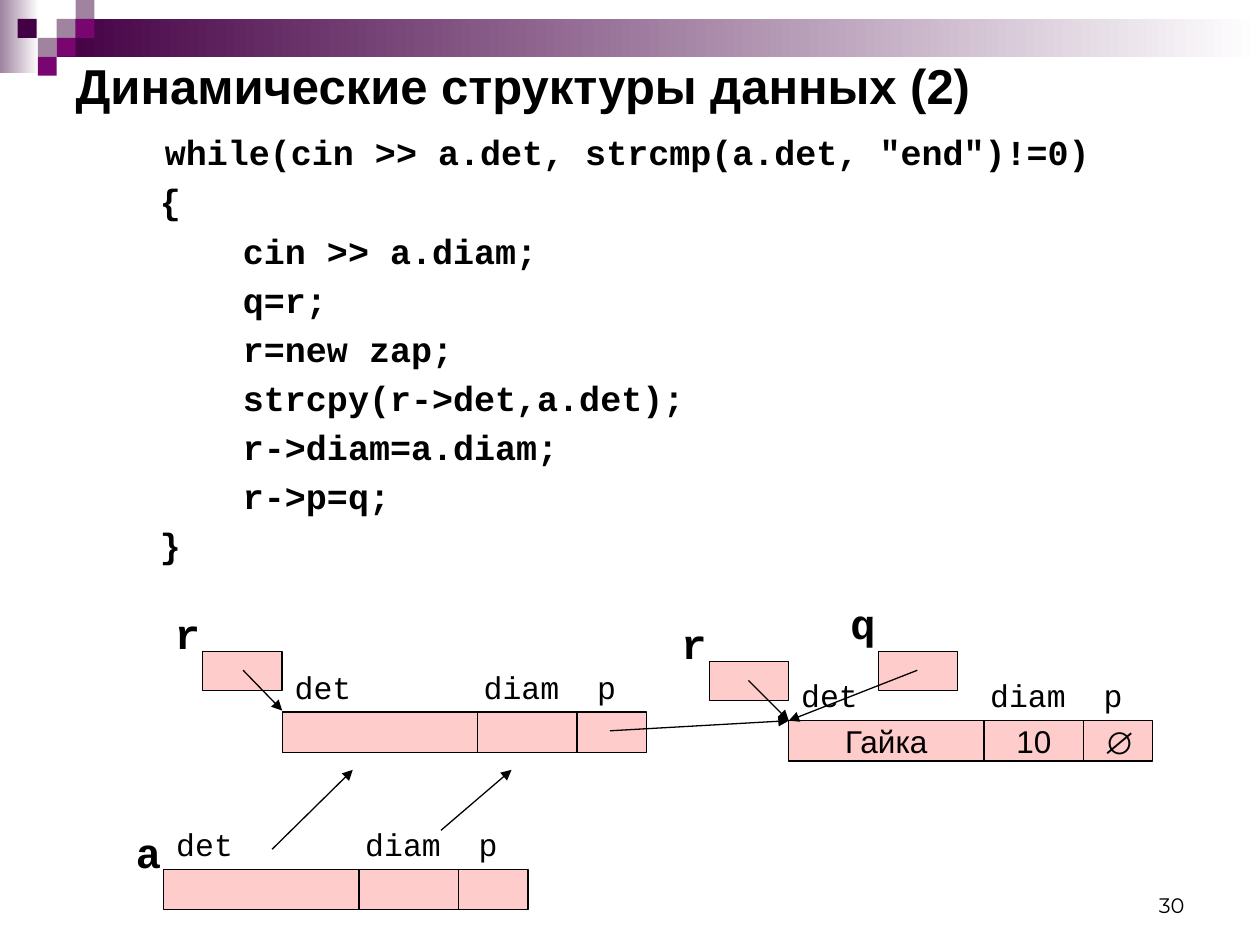
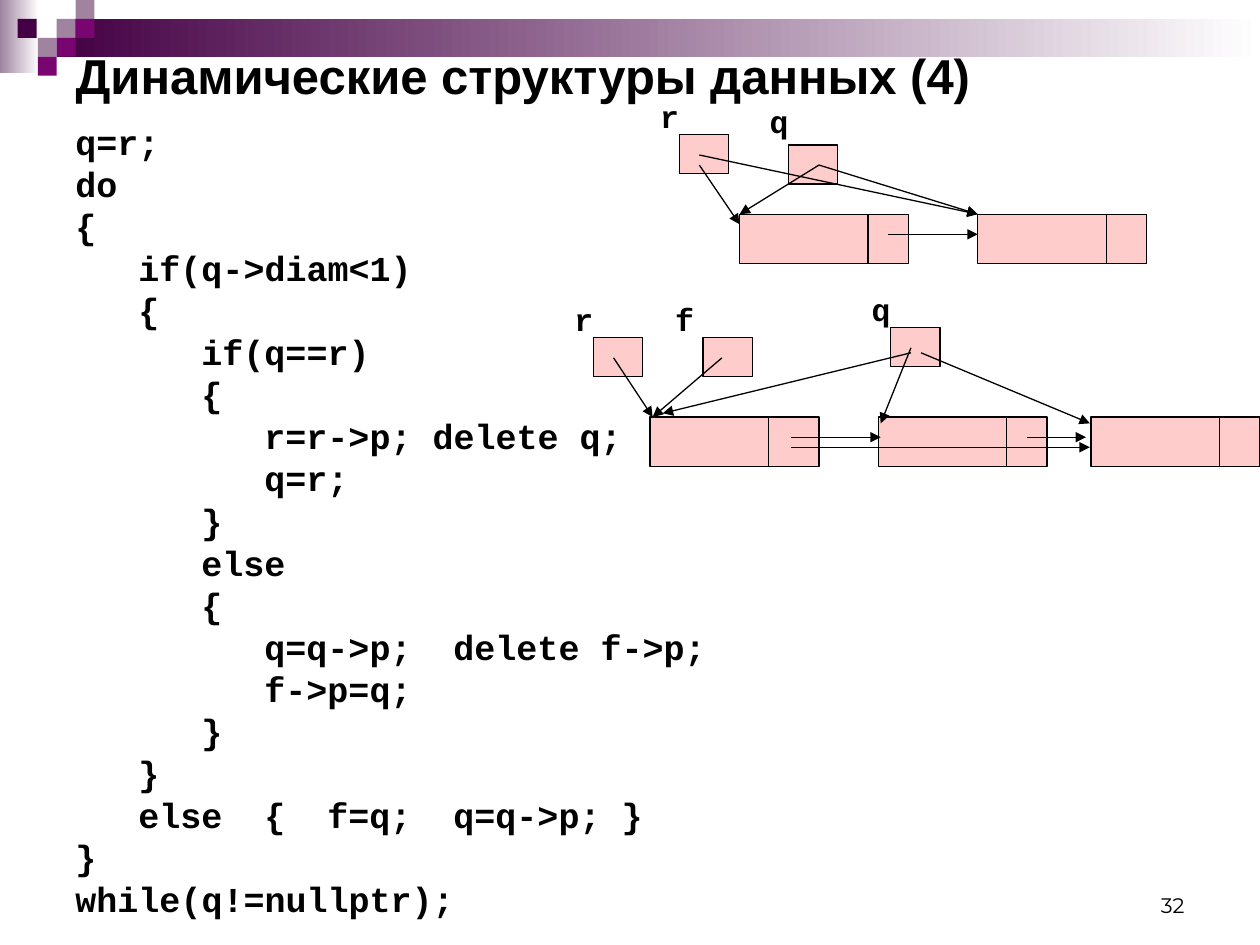
from lxml.etree import SubElement
from pptx import Presentation
from pptx.dml.color import RGBColor
from pptx.enum.shapes import MSO_CONNECTOR, MSO_SHAPE
from pptx.enum.text import MSO_ANCHOR, MSO_AUTO_SIZE, PP_ALIGN
from pptx.oxml.ns import qn
from pptx.util import Inches, Pt

BLACK, WHITE, PINK = "000000", "FFFFFF", "FFCCCC"
DARK, PLUM, MAUVE = "440044", "790571", "9F839F"
TITLE = {"name": "Arial", "size": Pt(28), "bold": True}
CODE = {"name": "Courier New", "size": Pt(20), "bold": True}
FIELD = {"name": "Courier New", "size": Pt(18), "bold": False}
POINTER = {"name": "Courier New", "size": Pt(24), "bold": True}
SMALL_POINTER = {**POINTER, "size": Pt(18)}
VALUE = {"name": "Arial", "size": Pt(18), "bold": False}
EMPTY = {**VALUE, "bold": True}
NUMBER = {"name": "Montserrat", "size": Pt(12), "bold": False}

SQUARE = 0.15
SQUARES = [(0.45, 0.15, MAUVE), (0.6, 0, MAUVE), (0.6, 0.15, PLUM),
           (0.3, 0.3, MAUVE), (0.14, 0.15, DARK), (0.45, 0.3, PLUM),
           (0.3, 0.45, PLUM)]
FIELD_WIDTHS = (1.55, 0.79, 0.55)
NODE_WIDTH, NODE_HEIGHT, LINK_OFFSET = 1.34, 0.39, 1.02

LOOP_CODE = [
    (0.71, 'while(cin >> a.det, strcmp(a.det, "end")!=0)'),
    (0.67, "{"),
    (1.33, "cin >> a.diam;"),
    (1.33, "q=r;"),
    (1.33, "r=new zap;"),
    (1.33, "strcpy(r->det,a.det);"),
    (1.33, "r->diam=a.diam;"),
    (1.33, "r->p=q;"),
    (0.67, "}"),
]
DELETE_CODE = [
    (0.5, "q=r;"),
    (0.5, "do"),
    (0.5, "{"),
    (1, "if(q->diam<1)"),
    (1, "{"),
    (1.5, "if(q==r)"),
    (1.5, "{"),
    (2, "r=r->p; delete q;"),
    (2, "q=r;"),
    (1.5, "}"),
    (1.5, "else"),
    (1.5, "{"),
    (2, "q=q->p;\tdelete f->p;"),
    (2, "f->p=q;"),
    (1.5, "}"),
    (1, "}"),
    (1, "else\t{\tf=q;\tq=q->p; }"),
    (0.5, "}"),
    (0.5, "while(q!=nullptr);"),
]
CODE_STOPS = [step / 2 for step in range(1, 11)]


def color(value):
    return RGBColor.from_string(value)


class Deck:
    def __init__(self):
        self.presentation = Presentation()
        self.presentation.slide_width = Inches(10)
        self.presentation.slide_height = Inches(7.5)
        self.slide = None

    def start(self, title, title_top, number):
        self.slide = self.presentation.slides.add_slide(self.presentation.slide_layouts[5])
        self.slide.background.fill.solid()
        self.slide.background.fill.fore_color.rgb = color(WHITE)
        self.band(0, 0, 0.31, 0.58, MAUVE)
        self.band(0.45, 0.15, 9.55, 0.3, DARK)
        for left, top, fill in SQUARES:
            self.box(left, top, SQUARE, SQUARE, fill, outlined=False)
        self.text(str(number), 7.17, 6.83, 2.33, 0.5, NUMBER, PP_ALIGN.RIGHT, MSO_ANCHOR.BOTTOM)
        shape = self.slide.shapes.title
        place = {"left": 0.5, "top": title_top, "width": 9, "height": 0.47}
        for name, value in place.items():
            setattr(shape, name, Inches(value))
        shape.text_frame.auto_size = MSO_AUTO_SIZE.NONE
        shape.text_frame.vertical_anchor = MSO_ANCHOR.MIDDLE
        self.styled_run(shape.text_frame.paragraphs[0], title, TITLE)

    def styled_run(self, paragraph, text, style, align=PP_ALIGN.LEFT):
        paragraph.alignment = align
        run = paragraph.add_run()
        run.text = text
        for name, value in style.items():
            setattr(run.font, name, value)
        run.font.color.rgb = color(BLACK)

    def tab_stops(self, paragraph, stops):
        tabs = SubElement(paragraph._p.get_or_add_pPr(), qn("a:tabLst"))
        for stop in stops:
            SubElement(tabs, qn("a:tab"), pos=str(Inches(stop)), algn="l")

    def frame(self, left, top, width, height, anchor=MSO_ANCHOR.TOP):
        shape = self.slide.shapes.add_textbox(*map(Inches, (left, top, width, height)))
        shape.text_frame.word_wrap = True
        shape.text_frame.vertical_anchor = anchor
        return shape.text_frame

    def text(self, text, left, top, width, height, style,
             align=PP_ALIGN.LEFT, anchor=MSO_ANCHOR.TOP):
        paragraph = self.frame(left, top, width, height, anchor).paragraphs[0]
        self.styled_run(paragraph, text, style, align)
        return paragraph

    def code(self, lines, left, top, width, height, gap=0):
        frame = self.frame(left, top, width, height)
        for index, (indent, line) in enumerate(lines):
            paragraph = frame.add_paragraph() if index else frame.paragraphs[0]
            self.styled_run(paragraph, line, CODE)
            paragraph.line_spacing = Pt(24)
            paragraph.space_before = Pt(gap if index else 0)
            paragraph._p.get_or_add_pPr().set("marL", str(Inches(indent)))
            if "\t" in line:
                self.tab_stops(paragraph, CODE_STOPS)

    def box(self, left, top, width, height, fill=PINK, text="", style=VALUE, outlined=True):
        shape = self.slide.shapes.add_shape(
            MSO_SHAPE.RECTANGLE, *map(Inches, (left, top, width, height)))
        shape.shadow.inherit = False
        shape.fill.solid()
        shape.fill.fore_color.rgb = color(fill)
        if outlined:
            shape.line.color.rgb = color(BLACK)
            shape.line.width = Pt(0.75)
        else:
            shape.line.fill.background()
        if text:
            frame = shape.text_frame
            for side in ("left", "right", "top", "bottom"):
                setattr(frame, f"margin_{side}", 0)
            frame.vertical_anchor = MSO_ANCHOR.MIDDLE
            self.styled_run(frame.paragraphs[0], text, style, PP_ALIGN.CENTER)
        return shape

    def band(self, left, top, width, height, start):
        shape = self.box(left, top, width, height, outlined=False)
        shape.fill.gradient()
        shape.fill.gradient_angle = 0
        for stop, position, value in zip(shape.fill.gradient_stops, (0, 1), (start, WHITE)):
            stop.position = position
            stop.color.rgb = color(value)

    def line(self, x1, y1, x2, y2, arrow=True):
        connector = self.slide.shapes.add_connector(
            MSO_CONNECTOR.STRAIGHT, *map(Inches, (x1, y1, x2, y2)))
        connector.line.color.rgb = color(BLACK)
        connector.line.width = Pt(0.75)
        properties = connector._element.spPr
        if arrow:
            SubElement(properties.find(qn("a:ln")), qn("a:tailEnd"), type="triangle")
        SubElement(properties, qn("a:effectLst"))

    def record(self, left, top, values=("", "", "")):
        cell_left = left
        for width, value in zip(FIELD_WIDTHS, values):
            self.box(cell_left, top, width, 0.32, text=value)
            cell_left += width
        labels = self.text("det\tdiam\tp", left, top - 0.4, 2.91, 0.4, FIELD)
        self.tab_stops(labels, (1.5, 2.4))

    def pointer(self, name, left, top, rise=0.4):
        self.box(left, top, 0.63, 0.31)
        self.text(name, left - 0.32, top - rise, 0.4, 0.5, POINTER)

    def small_pointer(self, name, left, top, shift=0.25, rise=0.35):
        self.box(left, top, 0.39, 0.31)
        self.text(name, left - shift, top - rise, 0.35, 0.4, SMALL_POINTER)

    def node(self, left, top, link=LINK_OFFSET):
        self.box(left, top, NODE_WIDTH, NODE_HEIGHT)
        self.line(left + link, top, left + link, top + NODE_HEIGHT, arrow=False)


def build_insertion(deck):
    deck.start("Динамические структуры данных (2)", 0.44, 30)
    deck.code(LOOP_CODE, 0.5, 0.99, 9, 3.39, gap=4)
    deck.pointer("r", 1.61, 5.17)
    deck.record(2.24, 5.65)
    deck.record(1.3, 6.9)
    deck.text("a", 0.98, 6.51, 0.4, 0.5, POINTER)
    deck.pointer("r", 5.63, 5.25)
    deck.record(6.26, 5.72, ("Гайка", "10", ""))
    deck.pointer("q", 6.97, 5.17, rise=0.48)
    for arrow in [(1.93, 5.32, 2.24, 5.64), (5.94, 5.4, 6.26, 5.72),
                  (7.28, 5.32, 6.26, 5.72), (4.84, 5.8, 6.26, 5.72),
                  (2.16, 6.74, 2.8, 6.11), (3.5, 6.59, 4.06, 6.11)]:
        deck.line(*arrow)
    deck.box(8.73, 5.77, 0.31, 0.24, text="∅", style=EMPTY, outlined=False)


def build_deletion(deck):
    deck.start("Динамические структуры данных (4)", 0.36, 32)
    deck.code(DELETE_CODE, 0, 0.91, 5.79, 6.59)
    deck.small_pointer("r", 5.39, 1.07)
    deck.small_pointer("q", 6.26, 1.15, rise=0.39)
    deck.small_pointer("r", 4.71, 2.68)
    deck.small_pointer("f", 5.58, 2.68, shift=0.32)
    deck.small_pointer("q", 7.07, 2.6)
    for left in (5.87, 7.76):
        deck.node(left, 1.7)
    for left, link in ((5.16, 0.94), (6.97, LINK_OFFSET), (8.66, LINK_OFFSET)):
        deck.node(left, 3.31, link)
    for arrow in [(5.55, 1.31, 5.87, 1.78), (6.5, 1.31, 5.87, 1.7),
                  (7.05, 1.86, 7.76, 1.86), (5.55, 1.23, 7.76, 1.7),
                  (6.5, 1.31, 7.76, 1.7), (4.87, 2.84, 5.18, 3.31),
                  (5.73, 2.84, 5.18, 3.31), (7.23, 2.8, 5.26, 3.28),
                  (7.23, 2.76, 6.99, 3.36), (7.31, 2.8, 8.65, 3.36),
                  (6.28, 3.47, 6.99, 3.47), (8.15, 3.47, 8.62, 3.47),
                  (6.28, 3.55, 8.65, 3.55)]:
        deck.line(*arrow)


def main():
    deck = Deck()
    build_insertion(deck)
    build_deletion(deck)
    deck.presentation.save("out.pptx")


if __name__ == "__main__":
    main()
